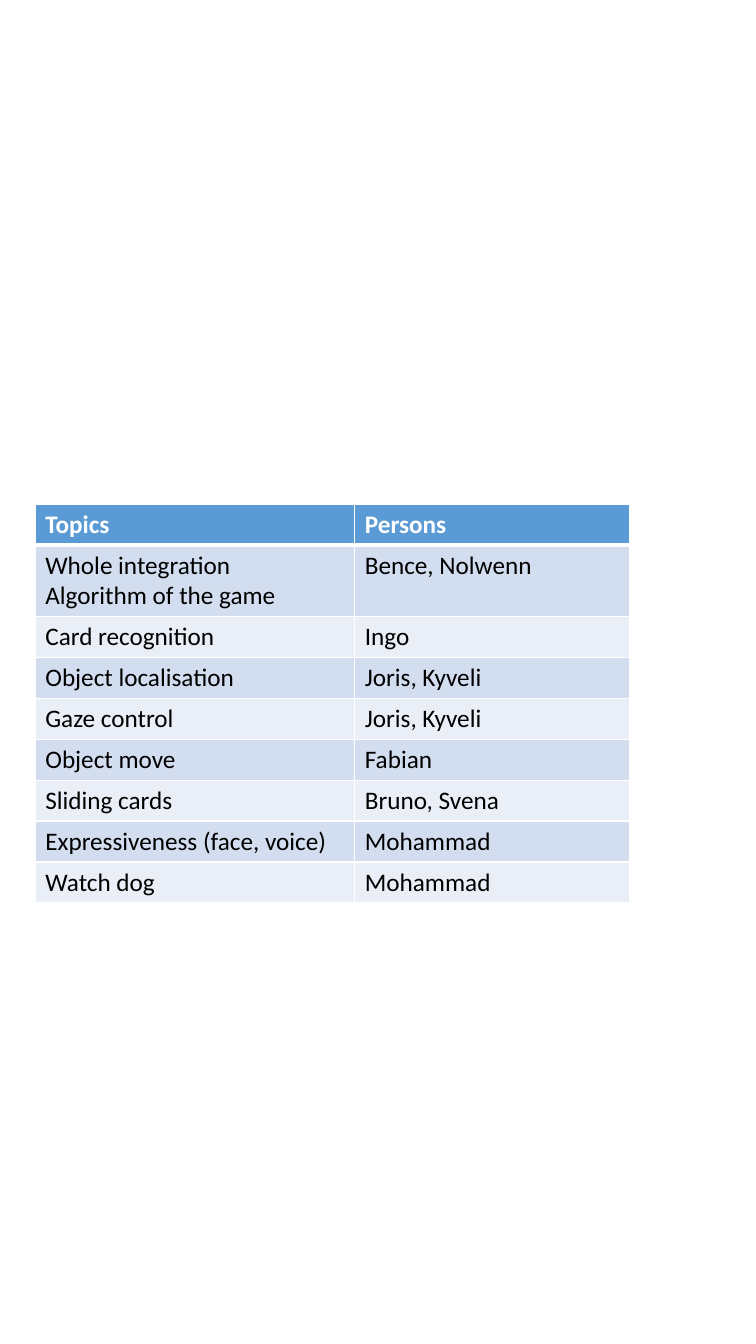
import pptx
import pptx.util
import pptx.dml.color
import pptx.oxml.ns
import lxml.etree

Inches = pptx.util.Inches
Pt = pptx.util.Pt

ROWS = [
    ("Topics", "Persons"),
    ("Whole integration\nAlgorithm of the game", "Bence, Nolwenn"),
    ("Card recognition", "Ingo"),
    ("Object localisation", "Joris, Kyveli"),
    ("Gaze control", "Joris, Kyveli"),
    ("Object move", "Fabian"),
    ("Sliding cards", "Bruno, Svena"),
    ("Expressiveness (face, voice)", "Mohammad"),
    ("Watch dog", "Mohammad"),
]
WIDTHS = [3.17, 2.73]
HEAD = "5B9BD5"
BANDS = ["EAEFF7", "D2DEEF"]
WHITE = "FFFFFF"
BLACK = "000000"


def color(code):
    return pptx.dml.color.RGBColor.from_string(code)


def add_edge(cell, side, width):
    name = pptx.oxml.ns.qn
    props = cell._tc.get_or_add_tcPr()
    line = lxml.etree.SubElement(props, name("a:ln" + side), w=str(Pt(width)))
    fill = lxml.etree.SubElement(line, name("a:solidFill"))
    lxml.etree.SubElement(fill, name("a:srgbClr"), val=WHITE)


def fill_cell(cell, text, row):
    head = row == 0
    cell.text_frame.text = text
    for part in cell.text_frame.paragraphs:
        for run in part.runs:
            run.font.name = "Calibri"
            run.font.size = Pt(18)
            run.font.bold = head
            run.font.color.rgb = color(WHITE if head else BLACK)
    edges = {"L": 1, "R": 1, "T": 3 if row == 1 else 1, "B": 3 if head else 1}
    for side, width in edges.items():
        add_edge(cell, side, width)
    cell.fill.solid()
    cell.fill.fore_color.rgb = color(HEAD if head else BANDS[row % 2])


def add_grid(slide, left, top, height):
    frame = slide.shapes.add_table(
        len(ROWS), len(WIDTHS), Inches(left), Inches(top),
        Inches(sum(WIDTHS)), Inches(height * len(ROWS)))
    table = frame.table
    for column, width in zip(table.columns, WIDTHS):
        column.width = Inches(width)
    for row, texts in enumerate(ROWS):
        table.rows[row].height = Inches(height)
        for col, text in enumerate(texts):
            fill_cell(table.cell(row, col), text, row)


def main():
    deck = pptx.Presentation()
    deck.slide_width = Inches(7.5)
    deck.slide_height = Inches(13.33)
    slide = deck.slides.add_slide(deck.slide_layouts[6])
    add_grid(slide, 0.35, 5, 0.4)
    deck.save("out.pptx")


main()
